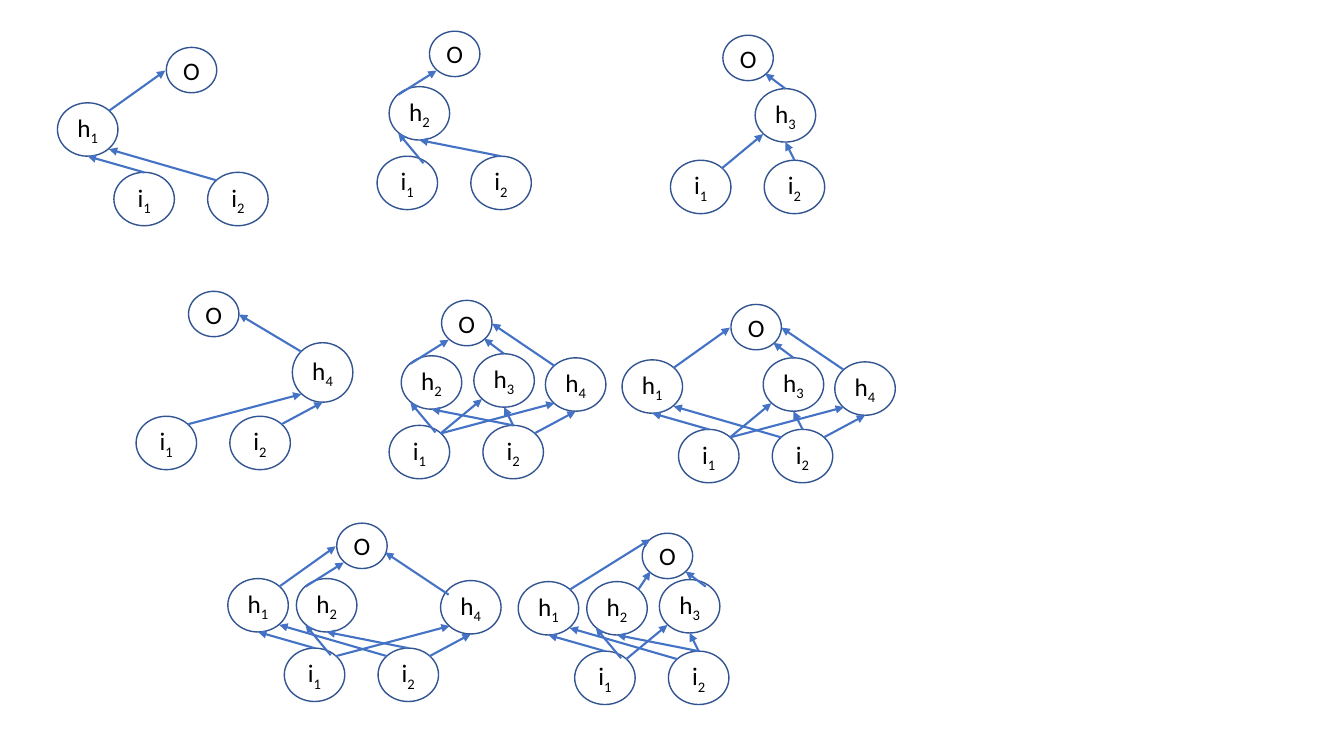
from lxml import etree
from pptx import Presentation
from pptx.dml.color import RGBColor
from pptx.enum.shapes import MSO_CONNECTOR, MSO_SHAPE
from pptx.enum.text import MSO_ANCHOR, PP_ALIGN
from pptx.oxml.ns import qn
from pptx.util import Inches, Pt

ELLIPSE = MSO_SHAPE.OVAL
STRAIGHT = MSO_CONNECTOR.STRAIGHT
MIDDLE = MSO_ANCHOR.MIDDLE
CENTER = PP_ALIGN.CENTER

COLORS = {"outline": "325491", "arrow": "4472C4", "text": "000000"}
FONT = {"name": "Calibri", "size": Pt(18)}
FRAME = {"margin_left": 0, "margin_right": 0, "margin_top": 0,
         "margin_bottom": 0, "vertical_anchor": MIDDLE, "word_wrap": True}

# Node boxes (left, top, width, height), measured from the corner of i1
NODES = {
    "O": (0.52, -1.24, 0.5, 0.45),
    "h1": (-0.56, -0.69, 0.6, 0.53),
    "h2": (0.12, -0.69, 0.6, 0.53),
    "h3": (0.84, -0.71, 0.6, 0.53),
    "h4": (1.55, -0.67, 0.6, 0.53),
    "i1": (0, 0, 0.6, 0.53),
    "i2": (0.93, 0, 0.6, 0.53),
}

# Arrows (x1, y1, x2, y2) of each hidden node, from the same corner
OUTPUT_ARROWS = {
    "h1": (-0.05, -0.61, 0.51, -1.01),
    "h2": (0.21, -0.61, 0.59, -0.85),
    "h3": (1.14, -0.71, 0.94, -0.86),
    "h4": (1.64, -0.59, 1.02, -1.01),
}
INPUT_ARROWS = {
    "h1": [(0.3, 0, -0.26, -0.16), (1.02, 0.08, -0.05, -0.23)],
    "h2": [(0.46, 0.07, 0.21, -0.23), (1.23, 0, 0.42, -0.16)],
    "h3": [(0.51, 0.08, 0.92, -0.26), (1.23, 0, 1.14, -0.18)],
    "h4": [(0.51, 0.08, 1.64, -0.22), (1.44, 0.08, 1.85, -0.14)],
}

# Networks: corner of i1, hidden nodes, moved nodes, moved output arrows
NETWORKS = [
    (1.13, 1.71, ["h1"], {}, {}),
    (3.74, 1.55, ["h2"], {}, {}),
    (6.65, 1.59, ["h3"], {}, {}),
    (1.35, 4.13, ["h4"], {"h4": (1.55, -0.73, 0.6, 0.59)},
     {"h4": (1.64, -0.64, 1.02, -1.01)}),
    (3.86, 4.22, ["h2", "h3", "h4"], {}, {}),
    (6.73, 4.26, ["h1", "h3", "h4"], {}, {}),
    (2.82, 6.43, ["h1", "h2", "h4"], {},
     {"h4": (1.63, -0.53, 1, -0.95)}),
    (5.7, 6.46, ["h1", "h2", "h3"], {"O": (0.67, -1.17, 0.5, 0.45)},
     {"h1": (-0.05, -0.61, 0.75, -1.11),
      "h2": (0.63, -0.61, 0.75, -0.79),
      "h3": (1.3, -0.64, 1.1, -0.79)}),
]


def rgb(name):
    return RGBColor.from_string(COLORS[name])


def apply(target, values):
    for key, value in values.items():
        setattr(target, key, value)


def add_node(slide, x, y, box, label):
    left, top, width, height = box
    sp = slide.shapes.add_shape(ELLIPSE, Inches(x + left), Inches(y + top),
                                Inches(width), Inches(height))
    sp.shadow.inherit = False
    sp.fill.background()
    sp.line.color.rgb = rgb("outline")
    sp.line.width = Pt(1)
    tf = sp.text_frame
    apply(tf, FRAME)
    p = tf.paragraphs[0]
    p.alignment = CENTER
    # The first character is the letter, the second its subscript
    for i, char in enumerate(label):
        r = p.add_run()
        r.text = char
        apply(r.font, FONT)
        r.font.color.rgb = rgb("text")
        if i:
            r._r.get_or_add_rPr().set("baseline", "-25000")


def add_arrow(slide, x, y, ends):
    x1, y1, x2, y2 = ends
    line = slide.shapes.add_connector(STRAIGHT, Inches(x + x1), Inches(y + y1),
                                      Inches(x + x2), Inches(y + y2))
    line.line.color.rgb = rgb("arrow")
    line.line.width = Pt(1.5)
    etree.SubElement(line.line._get_or_add_ln(), qn("a:tailEnd"),
                     type="triangle")
    etree.SubElement(line._element.spPr, qn("a:effectLst"))


def add_network(slide, x, y, hidden, moved_nodes, moved_arrows):
    nodes = {**NODES, **moved_nodes}
    outputs = {**OUTPUT_ARROWS, **moved_arrows}
    for label in ["O", *hidden, "i1", "i2"]:
        add_node(slide, x, y, nodes[label], label)
    for label in hidden:
        for ends in [outputs[label], *INPUT_ARROWS[label]]:
            add_arrow(slide, x, y, ends)


def main():
    prs = Presentation()
    prs.slide_width = Inches(13.33)
    prs.slide_height = Inches(7.5)
    # Blank layout: the slide has no title or list
    slide = prs.slides.add_slide(prs.slide_layouts[6])
    for network in NETWORKS:
        add_network(slide, *network)
    prs.save("out.pptx")


main()
